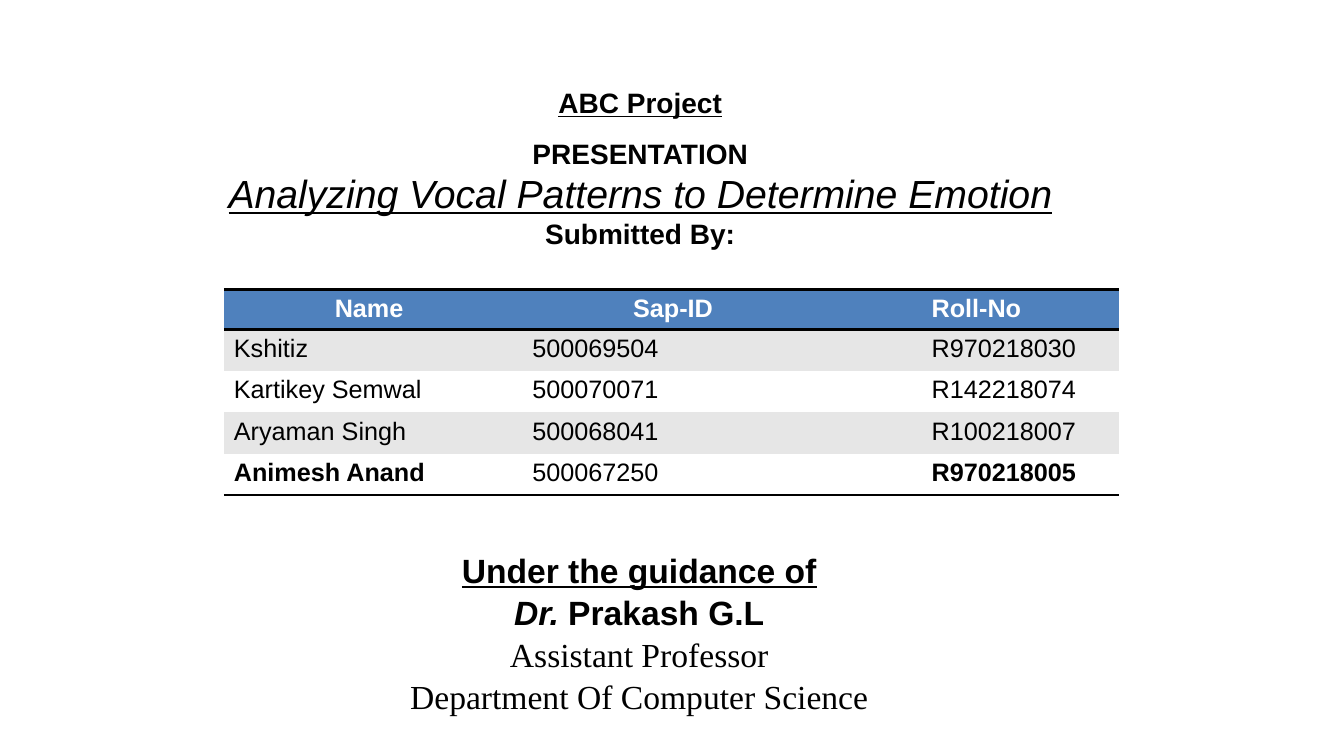
from lxml import etree
from pptx import Presentation
from pptx.dml.color import RGBColor
from pptx.enum import text
from pptx.oxml import ns
from pptx.util import Inches, Pt

BLACK, WHITE, BLUE, GREY = "000000", "FFFFFF", "4F81BD", "E6E6E6"
NO_STYLE_NO_GRID = "{2D5ABB26-0587-4C30-8999-92F81FD0307C}"


def style(span, size, bold=False, italic=False, underline=False,
          color=BLACK, face="Arial"):
    font = span.font
    font.name, font.size = face, Pt(size)
    font.bold, font.italic, font.underline = bold, italic, underline
    font.color.rgb = RGBColor.from_string(color)


def add_border(cell, side):
    line = etree.SubElement(cell._tc.get_or_add_tcPr(), ns.qn("a:ln" + side),
                            w=str(Pt(2)))
    fill = etree.SubElement(line, ns.qn("a:solidFill"))
    etree.SubElement(fill, ns.qn("a:srgbClr"), val=BLACK)


deck = Presentation()
deck.slide_width, deck.slide_height = Inches(13.33), Inches(7.5)
page = deck.slides.add_slide(deck.slide_layouts[5])

# Project heading
heading = page.shapes.add_textbox(Inches(1.5), Inches(0.8), Inches(9.7), Inches(1.75))
heading_lines = [
    ("ABC Project", dict(size=20, bold=True, underline=True)),
    ("PRESENTATION", dict(size=20, bold=True)),
    ("Analyzing Vocal Patterns to Determine Emotion",
     dict(size=28, italic=True, underline=True)),
    ("Submitted By:", dict(size=20, bold=True)),
]
frame = heading.text_frame
frame.word_wrap = True
frame.text = "\n".join(words for words, _ in heading_lines)
for para, (_, look) in zip(frame.paragraphs, heading_lines):
    para.alignment = text.PP_ALIGN.CENTER
    style(para.runs[0], **look)
frame.paragraphs[1].line_spacing = 1.5

# Table of students
students = [
    ("Name", "Sap-ID", "Roll-No"),
    ("Kshitiz", "500069504", "R970218030"),
    ("Kartikey Semwal", "500070071", "R142218074"),
    ("Aryaman Singh", "500068041", "R100218007"),
    ("Animesh Anand", "500067250", "R970218005"),
]
last = len(students) - 1
table = page.shapes.add_table(len(students), 3, Inches(2.22), Inches(2.87),
                              Inches(8.88), Inches(2.04)).table
table._tbl.tblPr.find(ns.qn("a:tableStyleId")).text = NO_STYLE_NO_GRID
for r, student in enumerate(students):
    header = r == 0
    table.rows[r].height = Inches(0.4 if header else 0.41)
    for c, words in enumerate(student):
        cell = table.cell(r, c)
        cell.text = words
        cell.margin_left = Inches(1.1 if header or c == 2 else 0.1)
        style(cell.text_frame.paragraphs[0].runs[0], 18,
              bold=header or (r == last and c != 1),
              color=WHITE if header else BLACK)
        if header:
            add_border(cell, "T")
        if r in (0, last):
            add_border(cell, "B")
        cell.fill.solid()
        cell.fill.fore_color.rgb = RGBColor.from_string(
            BLUE if header else GREY if r % 2 else WHITE)

# Guidance title
title = page.shapes.title
title.left, title.top = Inches(3.43), Inches(5.39)
title.width, title.height = Inches(5.82), Inches(1.92)
guidance_lines = [
    [("Under the guidance of", dict(bold=True, underline=True))],
    [("Dr. ", dict(bold=True, italic=True)), ("Prakash G.L", dict(bold=True))],
    [("Assistant Professor", dict(face="Times New Roman"))],
    [("Department Of Computer Science", dict(face="Times New Roman"))],
]
frame = title.text_frame
frame.word_wrap = True
frame.auto_size = text.MSO_AUTO_SIZE.NONE
frame.vertical_anchor = text.MSO_ANCHOR.BOTTOM
frame.margin_bottom = Inches(0.2)
for i, pieces in enumerate(guidance_lines):
    para = frame.add_paragraph() if i else frame.paragraphs[0]
    para.alignment = text.PP_ALIGN.CENTER
    para.line_spacing = 1.05
    para.space_before = Pt(0)
    for words, look in pieces:
        span = para.add_run()
        span.text = words
        style(span, 24, **look)

deck.save("out.pptx")
